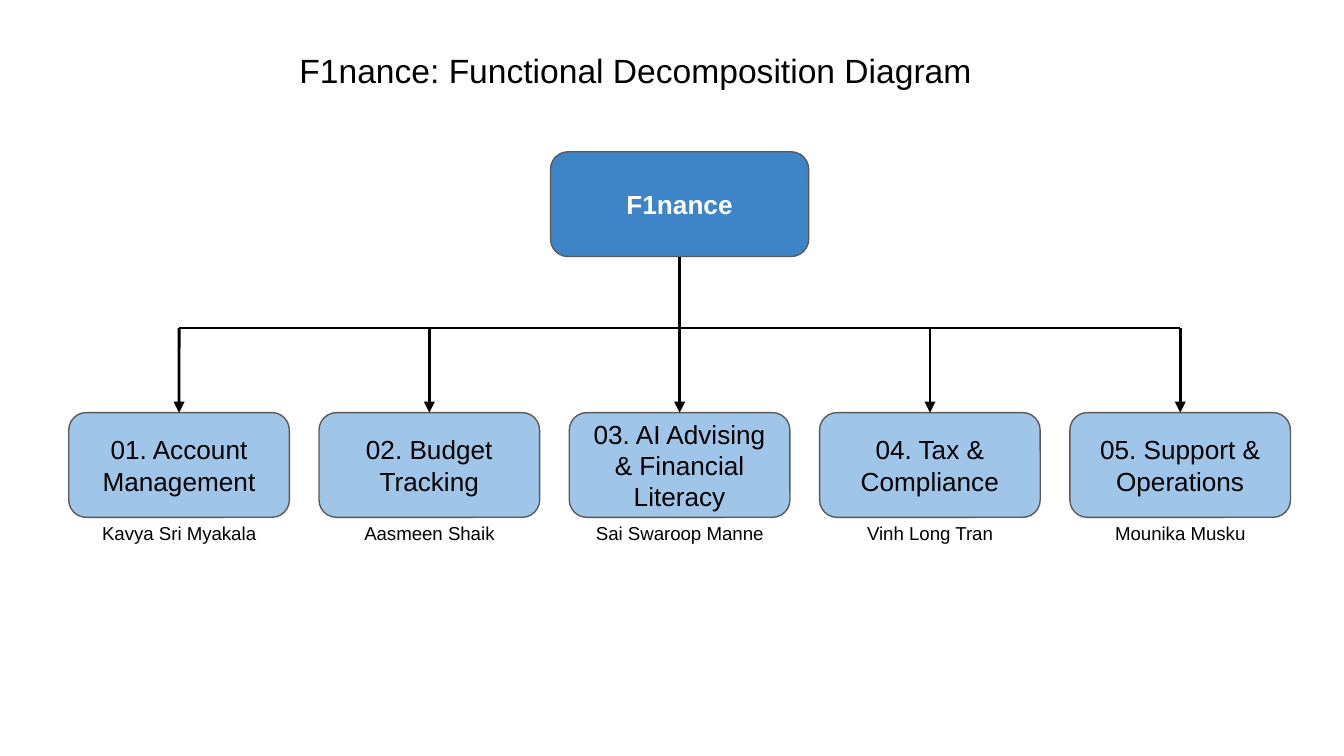
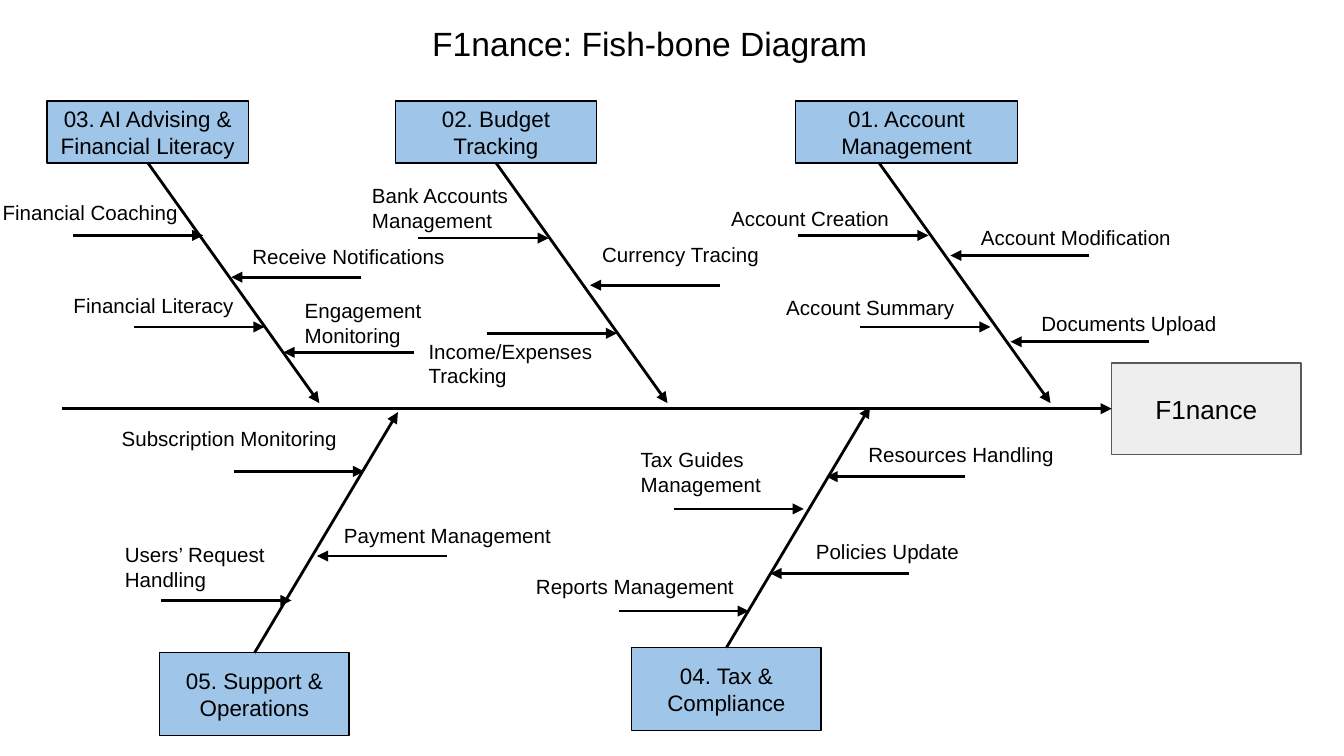
from lxml.etree import SubElement
from pptx import Presentation
from pptx.dml.color import RGBColor
from pptx.enum.shapes import MSO_CONNECTOR, MSO_SHAPE
from pptx.enum.text import MSO_ANCHOR, PP_ALIGN
from pptx.oxml.ns import qn
from pptx.util import Cm, Pt

BLACK = RGBColor(0x00, 0x00, 0x00)
WHITE = RGBColor(0xFF, 0xFF, 0xFF)
BLUE = RGBColor(0x3D, 0x85, 0xC6)
SKY = RGBColor(0x9F, 0xC5, 0xE8)
PALE = RGBColor(0xEE, 0xEE, 0xEE)
GREY = RGBColor(0x59, 0x59, 0x59)

FONT = "Arial"
PAD = 0.25
TOP, LEFT, BOTTOM = 0, 1, 2

# Signed twig lengths: positive points right, negative points left
EAST, WEST, FAR = 2.46, -2.46, -2.62

TEAM = [
    ("01. Account Management", "Kavya Sri Myakala"),
    ("02. Budget Tracking", "Aasmeen Shaik"),
    ("03. AI Advising & Financial Literacy", "Sai Swaroop Manne"),
    ("04. Tax & Compliance", "Vinh Long Tran"),
    ("05. Support & Operations", "Mounika Musku"),
]

# Head box, shift of the rib from the middle of the head, and twigs:
# label, its left, top and width, tip x and y, signed length.
# Places of labels and tips are counted from the corner of the head.
BONES = [
    (2, (0.89, 1.91, 3.81, 1.17), 0, [
        ("Financial Coaching", -1.09, 1.63, 3.96, 2.95, 2.54, EAST),
        ("Receive Notifications", 3.63, 2.46, 4.19, 3.48, 3.33, WEST),
        ("Financial Literacy", 0.25, 3.4, 3.63, 4.11, 4.27, EAST),
        ("Engagement Monitoring", 4.62, 3.48, 2.8, 4.47, 4.75, WEST),
    ]),
    (1, (7.47, 1.91, 3.81, 1.17), 0, [
        ("Bank Accounts Management", -0.69, 1.3, 3.63, 2.9, 2.59, EAST),
        ("Currency Tracing", 3.66, 2.44, 4.72, 3.68, 3.48, WEST),
        ("Income/Expenses Tracking", 0.38, 4.24, 4.19, 4.19, 4.39, EAST),
    ]),
    (0, (15.04, 1.91, 4.19, 1.17), -0.52, [
        ("Account Creation", -1.47, 1.75, 3.81, 2.51, 2.54, EAST),
        ("Account Modification", 3.25, 2.11, 4.5, 2.92, 2.92, FAR),
        ("Account Summary", -0.43, 3.43, 4.5, 3.68, 4.27, EAST),
        ("Documents Upload", 4.39, 3.73, 4.5, 4.06, 4.55, FAR),
    ]),
    (3, (11.94, 12.24, 3.58, 1.57), 0, [
        ("Resources Handling", 4.22, -4.11, 4.19, 3.68, -3.23, FAR),
        ("Tax Guides Management", -0.08, -4.04, 3.25, 3.25, -2.62, EAST),
        ("Policies Update", 3.23, -2.29, 3.5, 2.62, -1.4, FAR),
        ("Reports Management", -2.06, -1.63, 4.32, 2.21, -0.69, EAST),
    ]),
    (4, (3.02, 12.34, 3.58, 1.57), 0, [
        ("Subscription Monitoring", -0.97, -4.52, 4.72, 3.86, -3.43, EAST),
        ("Payment Management", 3.23, -2.69, 5.13, 2.97, -1.83, WEST),
        ("Users’ Request Handling", -0.91, -2.34, 4.32, 2.49, -0.99, EAST),
    ]),
]


def write(shape, text, size=11, color=BLACK, bold=False,
          align=PP_ALIGN.LEFT, anchor=MSO_ANCHOR.TOP, pad=PAD):
    frame = shape.text_frame
    frame.word_wrap = True
    frame.vertical_anchor = anchor
    frame.margin_left = frame.margin_right = Cm(PAD)
    frame.margin_top = frame.margin_bottom = Cm(pad)
    para = frame.paragraphs[0]
    para.alignment = align
    run = para.add_run()
    run.text = text
    font = run.font
    font.name, font.size, font.bold = FONT, Pt(size), bold
    font.color.rgb = color


def label(slide, box, text, **style):
    write(slide.shapes.add_textbox(*map(Cm, box)), text, **style)


def title(slide, box, text):
    label(slide, box, text, size=18, pad=0.13)


def block(slide, box, text, kind=MSO_SHAPE.RECTANGLE, fill=SKY, edge=BLACK,
          **style):
    shape = slide.shapes.add_shape(kind, *map(Cm, box))
    shape.shadow.inherit = False
    shape.fill.solid()
    shape.fill.fore_color.rgb = fill
    shape.line.color.rgb = edge
    shape.line.width = Pt(0.75)
    write(shape, text, align=PP_ALIGN.CENTER, anchor=MSO_ANCHOR.MIDDLE,
          **style)
    return shape


def link(slide, start, end, begin=None, finish=None, arrow=True):
    """Draw a line; begin and finish are (shape, side) pairs to join."""
    line = slide.shapes.add_connector(
        MSO_CONNECTOR.STRAIGHT, *map(Cm, start + end))
    line.line.color.rgb = BLACK
    line.line.width = Pt(1.5)
    if begin:
        line.begin_connect(*begin)
    if finish:
        line.end_connect(*finish)
    if arrow:
        SubElement(line.line._get_or_add_ln(), qn("a:tailEnd"),
                   type="triangle")
    SubElement(line._element.spPr, qn("a:effectLst"))


def tree(slide, left, top, pitch=4.73, wide=4.17, high=1.98):
    """Place the root, the bus and the five functions with their owners."""
    style = dict(kind=MSO_SHAPE.ROUNDED_RECTANGLE, edge=GREY, size=14)
    mids = [left + wide / 2 + pitch * i for i in range(len(TEAM))]
    mid = mids[len(mids) // 2]
    bus, row = top + 3.33, top + 4.93
    root = block(slide, (mid - 2.44, top, 4.88, high), "F1nance",
                 fill=BLUE, color=WHITE, bold=True, **style)
    link(slide, (mids[0], bus), (mids[-1], bus), arrow=False)
    for x, (task, owner) in zip(mids, TEAM):
        node = block(slide, (x - wide / 2, row, wide, high), task, **style)
        begin = (root, BOTTOM) if x == mid else None
        link(slide, (x, bus), (x, row), begin, (node, TOP))
        label(slide, (x - wide / 2, row + 1.85, wide, 0.81), owner,
              size=10, align=PP_ALIGN.CENTER)


def bone(slide, box, text, shift, twigs, spine):
    """Place a head, its rib towards the spine, and its twigs."""
    left, top, wide, high = box
    head = block(slide, box, text, size=12)
    x = left + wide / 2 + shift
    if top < spine:
        y, run, rise, side = top + high, 3.24, 4.54, BOTTOM
    else:
        y, run, rise, side = top, 2.71, -4.55, TOP
    link(slide, (x, y), (x + run, y + rise), None if shift else (head, side))
    for name, dx, dy, span, tip, drop, length in twigs:
        label(slide, (left + dx, top + dy, span, 1.22), name)
        end = (left + tip, top + drop)
        link(slide, (end[0] - length, end[1]), end)


def fish(slide, left, box):
    """Place the goal box, the spine that reaches it, and all bones."""
    goal = block(slide, box, "F1nance", fill=PALE, edge=GREY, size=14)
    spine = box[1] + box[3] / 2
    link(slide, (left, spine), (box[0], spine), finish=(goal, LEFT))
    for index, head, shift, twigs in BONES:
        bone(slide, head, TEAM[index][0], shift, twigs, spine)


def main():
    deck = Presentation()
    deck.slide_width, deck.slide_height = Cm(25.4), Cm(14.29)
    blank = deck.slide_layouts[6]

    slide = deck.slides.add_slide(blank)
    title(slide, (5.41, 0.81, 14.76, 1.02),
          "F1nance: Functional Decomposition Diagram")
    tree(slide, 1.3, 2.87)

    slide = deck.slides.add_slide(blank)
    title(slide, (7.92, 0.3, 8.86, 1.02), "F1nance: Fish-bone Diagram")
    fish(slide, 1.17, (21.01, 6.86, 3.58, 1.73))

    deck.save("out.pptx")


if __name__ == "__main__":
    main()
